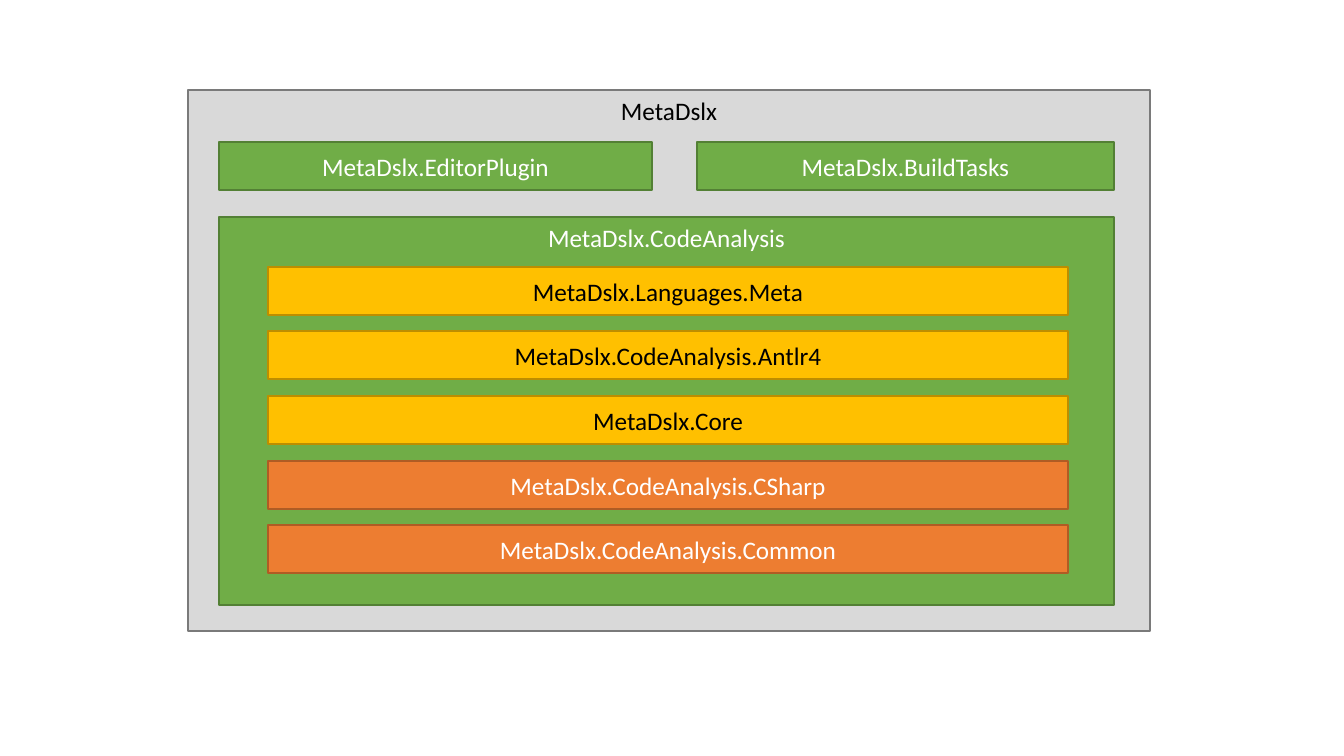
from pptx import Presentation
from pptx.dml.color import RGBColor
from pptx.enum.shapes import MSO_SHAPE
from pptx.enum.text import MSO_ANCHOR, PP_ALIGN
from pptx.util import Emu, Pt

RECT = MSO_SHAPE.RECTANGLE
TOP, MIDDLE = MSO_ANCHOR.TOP, MSO_ANCHOR.MIDDLE
CENTER = PP_ALIGN.CENTER

BLACK = RGBColor(0x00, 0x00, 0x00)
WHITE = RGBColor(0xFF, 0xFF, 0xFF)
GRAY = (RGBColor(0xD9, 0xD9, 0xD9), RGBColor(0x7A, 0x7A, 0x7A), BLACK)
GREEN = (RGBColor(0x70, 0xAD, 0x47), RGBColor(0x53, 0x80, 0x35), WHITE)
GOLD = (RGBColor(0xFF, 0xC0, 0x00), RGBColor(0xBD, 0x8E, 0x00), BLACK)
ORANGE = (RGBColor(0xED, 0x7D, 0x31), RGBColor(0xAF, 0x5C, 0x24), WHITE)


def px(n):
    return Emu(round(n * 914400 / 100.8))


def add_box(text, left, top, width, height, colors, anchor=MIDDLE):
    fill, line, font = colors
    sp = s.shapes.add_shape(RECT, px(left), px(top), px(width), px(height))
    sp.shadow.inherit = False
    sp.fill.solid()
    sp.fill.fore_color.rgb = fill
    sp.line.color.rgb = line
    sp.line.width = Pt(1)
    tf = sp.text_frame
    tf.word_wrap = True
    tf.vertical_anchor = anchor
    tf.text = text
    p = tf.paragraphs[0]
    p.alignment = CENTER
    r = p.runs[0]
    r.font.name = "Calibri"
    r.font.size = Pt(18)
    r.font.color.rgb = font


prs = Presentation()
prs.slide_width, prs.slide_height = px(1344), px(756)
s = prs.slides.add_slide(prs.slide_layouts[6])

BAR_HEIGHT = 48
add_box("MetaDslx", 188, 90, 962, 541, GRAY, TOP)
add_box("MetaDslx.EditorPlugin", 219, 142, 433, BAR_HEIGHT, GREEN)
add_box("MetaDslx.BuildTasks", 697, 142, 417, BAR_HEIGHT, GREEN)
add_box("MetaDslx.CodeAnalysis", 219, 217, 895, 388, GREEN, TOP)

LAYERS = [
    ("MetaDslx.Languages.Meta", GOLD),
    ("MetaDslx.CodeAnalysis.Antlr4", GOLD),
    ("MetaDslx.Core", GOLD),
    ("MetaDslx.CodeAnalysis.CSharp", ORANGE),
    ("MetaDslx.CodeAnalysis.Common", ORANGE),
]
FIRST_TOP, LAST_TOP = 267, 525
for i, (text, colors) in enumerate(LAYERS):
    top = FIRST_TOP + round(i * (LAST_TOP - FIRST_TOP) / (len(LAYERS) - 1))
    add_box(text, 268, top, 800, BAR_HEIGHT, colors)

prs.save("out.pptx")
